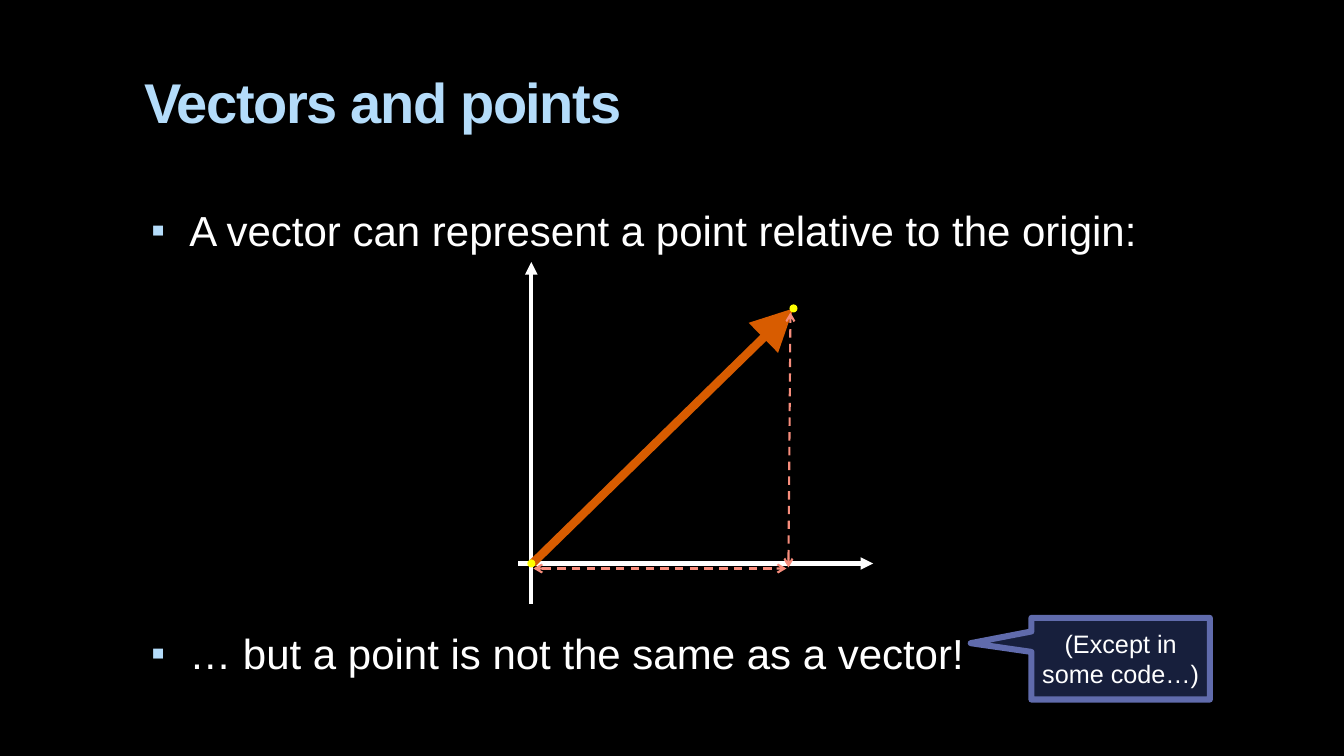
from dataclasses import dataclass
from typing import Any

from lxml import etree
from pptx import Presentation
from pptx import util as u
from pptx.dml import color
from pptx.enum import dml, shapes, text
from pptx.oxml import ns

EMU_PER_PX = 9144
FONT = "Arial"
COLORS = {
    "background": "000000",
    "title": "B4DCFA",
    "text": "FFFFFF",
    "axis": "FFFFFF",
    "vector": "D85C00",
    "point": "FFFF00",
    "component": "F78D7C",
    "callout_fill": "4E67C8",
    "callout_line": "606BAC",
}


@dataclass(frozen=True)
class Arrow:
    start: tuple[int, int]
    end: tuple[int, int]
    color: str
    width: float
    head: str = "none"
    tail: str = "none"
    size: str = "med"
    dashed: bool = False


@dataclass(frozen=True)
class Bullet:
    words: str
    space_before: int


ARROWS = [
    Arrow((514, 559), (866, 559), "axis", 3, tail="triangle"),
    Arrow((527, 260), (527, 599), "axis", 3, head="triangle"),
    Arrow((528, 559), (787, 306), "vector", 6, tail="triangle", size="lg"),
    Arrow((529, 564), (780, 564), "component", 1.5, "arrow", "arrow", dashed=True),
    Arrow((782, 563), (784, 310), "component", 1.5, "arrow", "arrow", dashed=True),
]
POINT_CENTERS = [(787, 306), (527, 559)]
POINT_SIZE = 8
BULLETS = [
    Bullet("A vector can represent a point relative to the origin:", 0),
    Bullet("… but a point is not the same as a vector!", 266),
]


def px(length: int) -> u.Emu:
    return u.Emu(length * EMU_PER_PX)


def rgb(name: str) -> color.RGBColor:
    return color.RGBColor.from_string(COLORS[name])


def apply(target: Any, values: dict[str, Any]) -> None:
    for name, value in values.items():
        setattr(target, name, value)


def add_element(parent: Any, tag: str, **attributes: str) -> Any:
    return etree.SubElement(parent, ns.qn(tag), attributes)


def format_font(font: Any, size: int, color_name: str, bold: bool = False) -> None:
    apply(font, {"name": FONT, "size": u.Pt(size), "bold": bold})
    font.color.rgb = rgb(color_name)


def draw_title(slide: Any) -> None:
    title = slide.shapes.title
    apply(title, {"left": px(133), "top": px(56), "width": px(1133), "height": px(100)})
    frame = title.text_frame
    apply(frame, {
        "text": "Vectors and points",
        "vertical_anchor": text.MSO_ANCHOR.TOP,
        "auto_size": text.MSO_AUTO_SIZE.NONE,
        "margin_left": px(10),
        "margin_top": px(11),
    })
    paragraph = frame.paragraphs[0]
    paragraph.alignment = text.PP_ALIGN.LEFT
    run = paragraph.runs[0]
    format_font(run.font, 40, "title", bold=True)
    run.font._element.set("spc", "-100")


def draw_bullets(slide: Any, bullets: list[Bullet]) -> None:
    shape = slide.shapes.add_textbox(px(133), px(195), px(1133), px(500))
    frame = shape.text_frame
    apply(frame, {"word_wrap": True, "margin_left": px(10), "margin_top": px(8)})
    for index, bullet in enumerate(bullets):
        paragraph = frame.add_paragraph() if index else frame.paragraphs[0]
        paragraph.text = bullet.words
        paragraph.space_before = u.Pt(bullet.space_before)
        properties = paragraph._p.get_or_add_pPr()
        properties.set("marL", str(px(45)))
        properties.set("indent", str(px(-38)))
        bullet_color = add_element(properties, "a:buClr")
        add_element(bullet_color, "a:srgbClr", val=COLORS["title"])
        add_element(properties, "a:buSzPct", val="95000")
        add_element(properties, "a:buFont", typeface=FONT)
        add_element(properties, "a:buChar", char="▪")
        format_font(paragraph.font, 30, "text")
        format_font(paragraph.runs[0].font, 30, "text")


def draw_callout(slide: Any) -> None:
    shape = slide.shapes.add_shape(
        shapes.MSO_SHAPE.RECTANGULAR_CALLOUT, px(1023), px(613), px(177), px(81)
    )
    shape.shadow.inherit = False
    shape.adjustments[0] = -0.84
    shape.adjustments[1] = -0.19
    shape.fill.solid()
    shape.fill.fore_color.rgb = rgb("callout_fill")
    fill_color = shape._element.spPr.find(ns.qn("a:solidFill"))[0]
    add_element(fill_color, "a:alpha", val="30000")
    shape.line.color.rgb = rgb("callout_line")
    shape.line.width = u.Pt(4.33)
    frame = shape.text_frame
    apply(frame, {
        "text": "(Except in some code…)",
        "word_wrap": True,
        "vertical_anchor": text.MSO_ANCHOR.MIDDLE,
        "margin_left": px(9),
        "margin_right": px(9),
    })
    paragraph = frame.paragraphs[0]
    paragraph.alignment = text.PP_ALIGN.CENTER
    format_font(paragraph.runs[0].font, 18, "text")


def draw_arrow(group: Any, arrow: Arrow) -> None:
    connector = group.shapes.add_connector(
        shapes.MSO_CONNECTOR.STRAIGHT, *map(px, arrow.start + arrow.end)
    )
    line = connector.line
    line.color.rgb = rgb(arrow.color)
    line.width = u.Pt(arrow.width)
    if arrow.dashed:
        line.dash_style = dml.MSO_LINE.DASH
    outline = line._get_or_add_ln()
    for tag, kind in (("a:headEnd", arrow.head), ("a:tailEnd", arrow.tail)):
        add_element(outline, tag, type=kind, w=arrow.size, len=arrow.size)
    add_element(connector._element.spPr, "a:effectLst")


def draw_point(group: Any, center: tuple[int, int]) -> None:
    left, top = (value - POINT_SIZE // 2 for value in center)
    shape = group.shapes.add_shape(
        shapes.MSO_SHAPE.OVAL, px(left), px(top), px(POINT_SIZE), px(POINT_SIZE)
    )
    shape.shadow.inherit = False
    shape.fill.solid()
    shape.fill.fore_color.rgb = rgb("point")
    shape.line.fill.background()


def draw_diagram(slide: Any) -> None:
    group = slide.shapes.add_group_shape()
    for arrow in ARROWS[:3]:
        draw_arrow(group, arrow)
    for center in POINT_CENTERS:
        draw_point(group, center)
    for arrow in ARROWS[3:]:
        draw_arrow(group, arrow)


def main() -> None:
    presentation = Presentation()
    apply(presentation, {"slide_width": px(1333), "slide_height": px(750)})
    slide = presentation.slides.add_slide(presentation.slide_layouts[5])
    slide.background.fill.solid()
    slide.background.fill.fore_color.rgb = rgb("background")
    draw_title(slide)
    draw_bullets(slide, BULLETS)
    draw_callout(slide)
    draw_diagram(slide)
    presentation.save("out.pptx")


if __name__ == "__main__":
    main()
